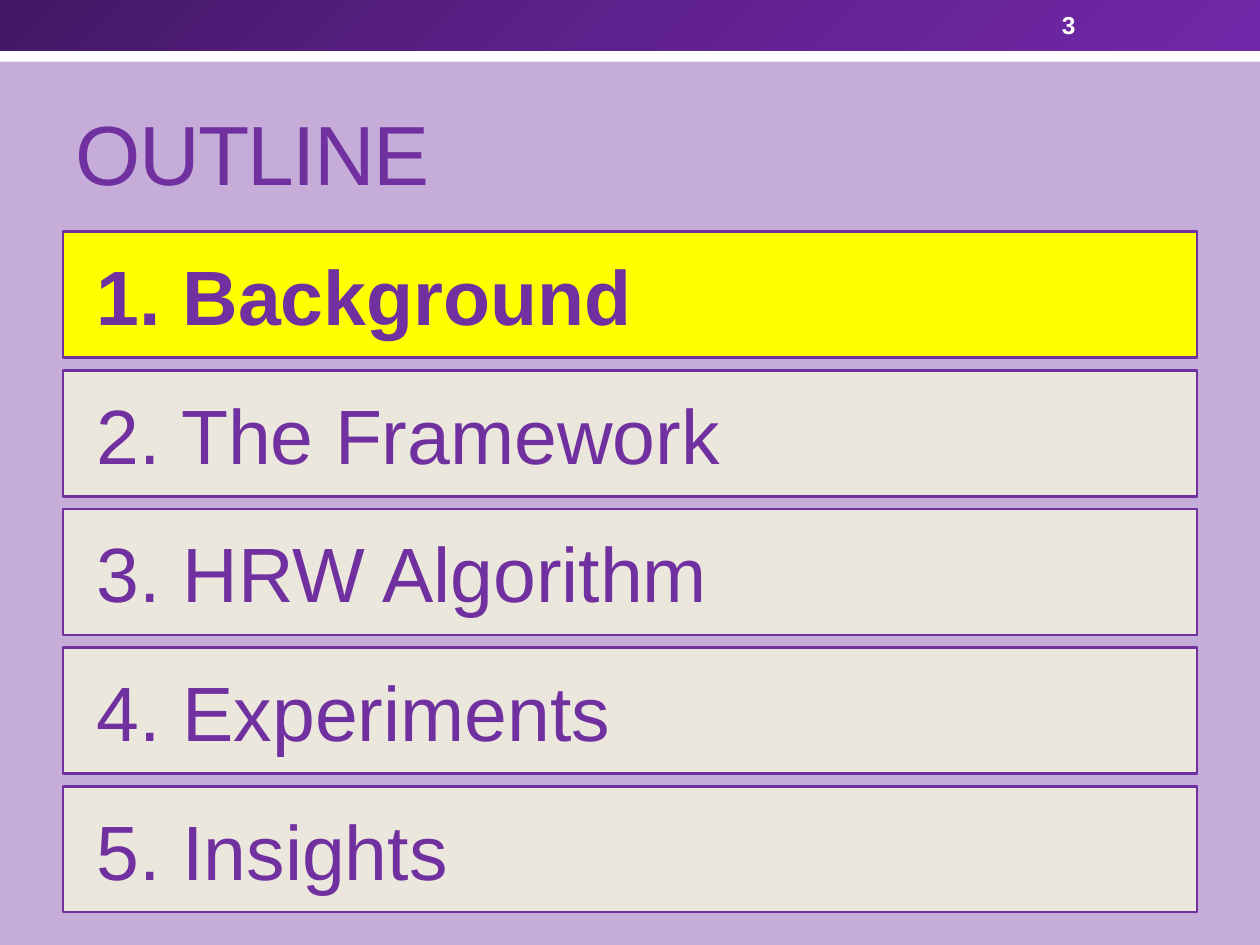
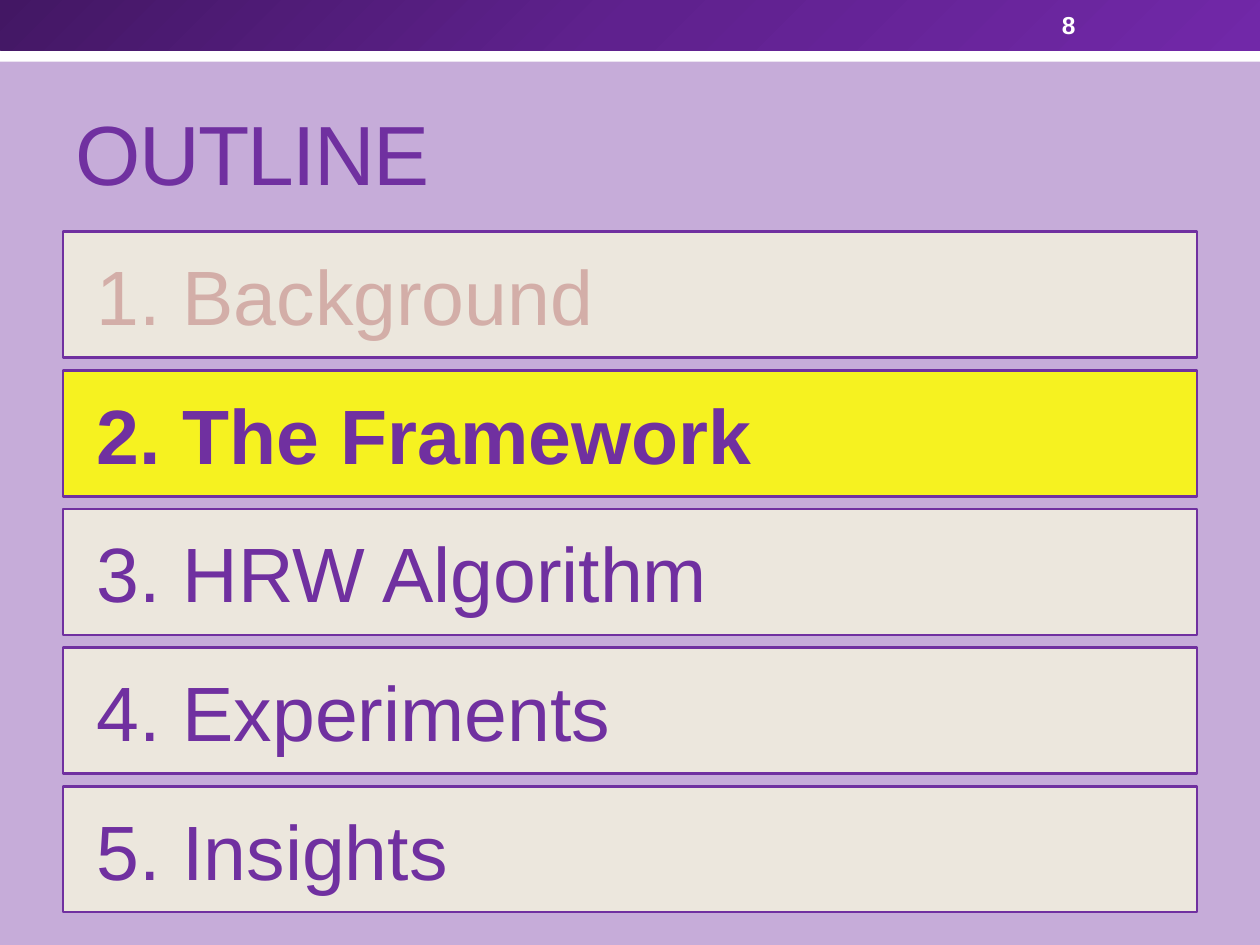
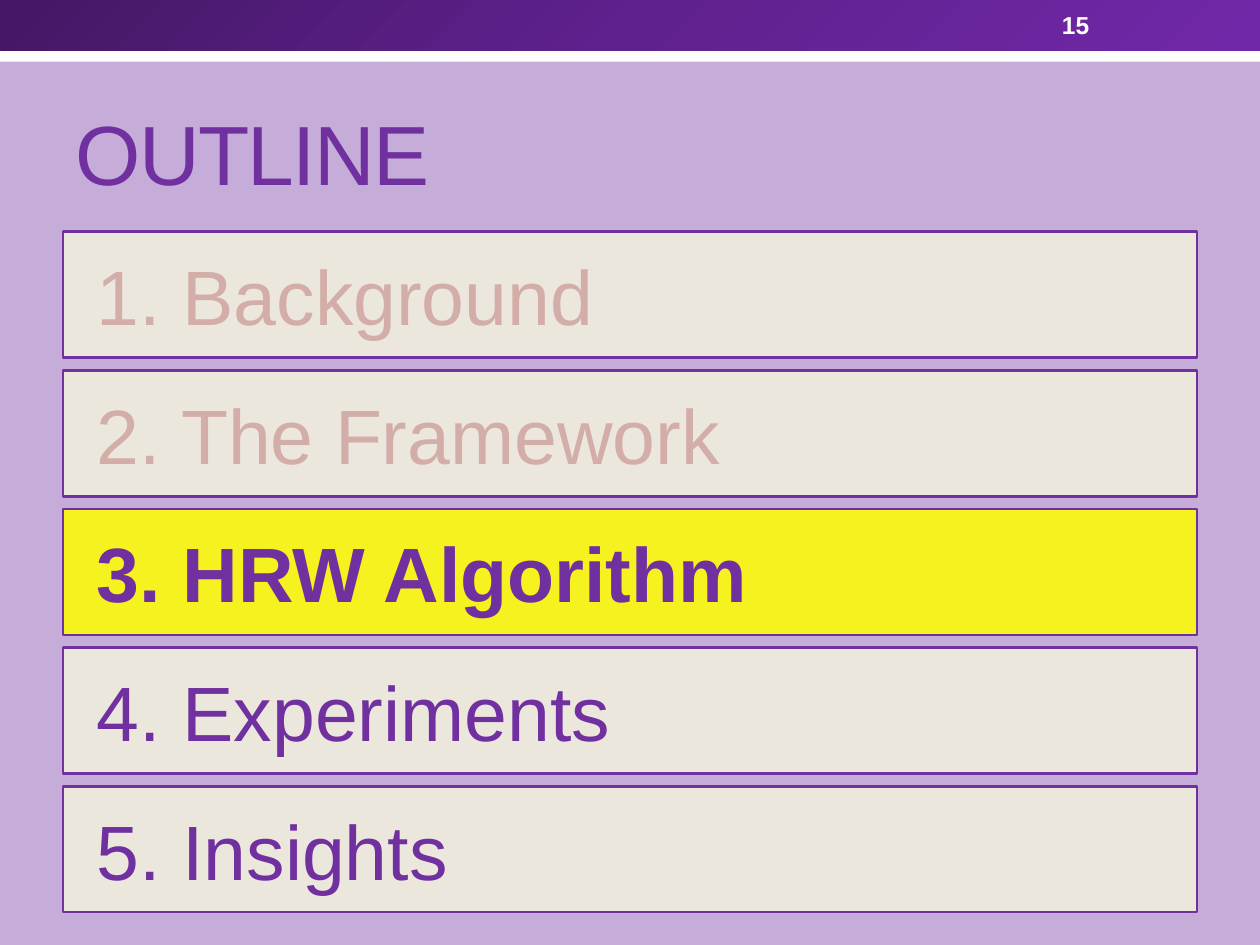
import copy
import pptx
import pptx.dml.color
import pptx.enum.shapes
import pptx.enum.text
import pptx.oxml.ns
import pptx.util
from lxml import etree

Inches, Pt = pptx.util.Inches, pptx.util.Pt
Anchor = pptx.enum.text.MSO_ANCHOR
qn = pptx.oxml.ns.qn

TITLE = "OUTLINE"
TOPICS = ["Background", "The Framework", "HRW Algorithm", "Experiments", "Insights"]
# page number, active topic, opacity of the active bar in percent
PAGES = [("3", 1, 100), ("8", 2, 85), ("15", 3, 85)]

FONT = "Arial"
COLORS = {
    "main": "7030A0", "back": "C6ACD9", "white": "FFFFFF",
    "bar": "F3F2DE", "active": "FFFF00", "done": "D3AEA8",
}
BAND = [(0, "431764"), (0.5, "5F218E"), (1, "7128A8")]
LEFT, WIDTH = 0.5, 9
TOP, STEP, HEIGHT = 1.84, 1.1, 1


def rgb(code):
    return pptx.dml.color.RGBColor.from_string(code)


def write(frame, text, size, color, bold=False, anchor=Anchor.MIDDLE):
    """Put one left-aligned run into a text frame."""
    frame.word_wrap = True
    frame.auto_size = pptx.enum.text.MSO_AUTO_SIZE.NONE
    frame.vertical_anchor = anchor
    par = frame.paragraphs[0]
    par.alignment = pptx.enum.text.PP_ALIGN.LEFT
    run = par.add_run()
    run.text = text
    font = run.font
    font.name, font.size, font.bold = FONT, Pt(size), bold
    font.color.rgb = rgb(COLORS[color])
    return run


def add_rect(slide, left, top, width, height):
    rect = slide.shapes.add_shape(
        pptx.enum.shapes.MSO_SHAPE.RECTANGLE,
        Inches(left), Inches(top), Inches(width), Inches(height))
    rect.shadow.inherit = False
    rect.line.fill.background()
    return rect


def paint(rect, color, alpha=100):
    rect.fill.solid()
    rect.fill.fore_color.rgb = rgb(COLORS[color])
    if alpha < 100:
        tint = rect.element.spPr.find(qn("a:solidFill"))[0]
        etree.SubElement(tint, qn("a:alpha"), val=str(alpha * 1000))


def add_head(slide, page):
    """Draw the top bands and the page number."""
    paint(add_rect(slide, 0, 0.24, 10, 0.25), "white")
    band = add_rect(slide, 0, 0, 10, 0.4)
    band.fill.gradient()
    band.fill.gradient_angle = 315
    stops = band.element.spPr.find(".//" + qn("a:gsLst"))
    stops.insert(1, copy.deepcopy(stops[0]))
    for stop, (place, code) in zip(band.fill.gradient_stops, BAND):
        stop.position = place
        stop.color.rgb = rgb(code)
    box = slide.shapes.add_textbox(
        Inches(8.33), Inches(0.02), Inches(1.17), Inches(0.36))
    write(box.text_frame, page, 14, "white", True)


def add_title(slide):
    title = slide.shapes.title
    title.left, title.top = Inches(LEFT), Inches(0.58)
    title.width, title.height = Inches(WIDTH), Inches(1.08)
    run = write(title.text_frame, TITLE, 48, "main", anchor=Anchor.BOTTOM)
    run.font._element.set("spc", "-100")


def add_bars(slide, active, alpha):
    for num, topic in enumerate(TOPICS, 1):
        now = num == active
        bar = add_rect(slide, LEFT, TOP + (num - 1) * STEP, WIDTH, HEIGHT)
        paint(bar, "active" if now else "bar", alpha if now else 85)
        bar.line.color.rgb = rgb(COLORS["main"])
        bar.line.width = Pt(1.5)
        bar.text_frame.margin_left = Inches(0.27)
        write(bar.text_frame, f"{num}. {topic}", 44,
              "done" if num < active else "main", now)


def main():
    deck = pptx.Presentation()
    deck.slide_width, deck.slide_height = Inches(10), Inches(7.5)
    fill = deck.slide_master.background.fill
    fill.solid()
    fill.fore_color.rgb = rgb(COLORS["back"])
    for page, active, alpha in PAGES:
        slide = deck.slides.add_slide(deck.slide_layouts[5])
        add_head(slide, page)
        add_title(slide)
        add_bars(slide, active, alpha)
    deck.save("out.pptx")


if __name__ == "__main__":
    main()
